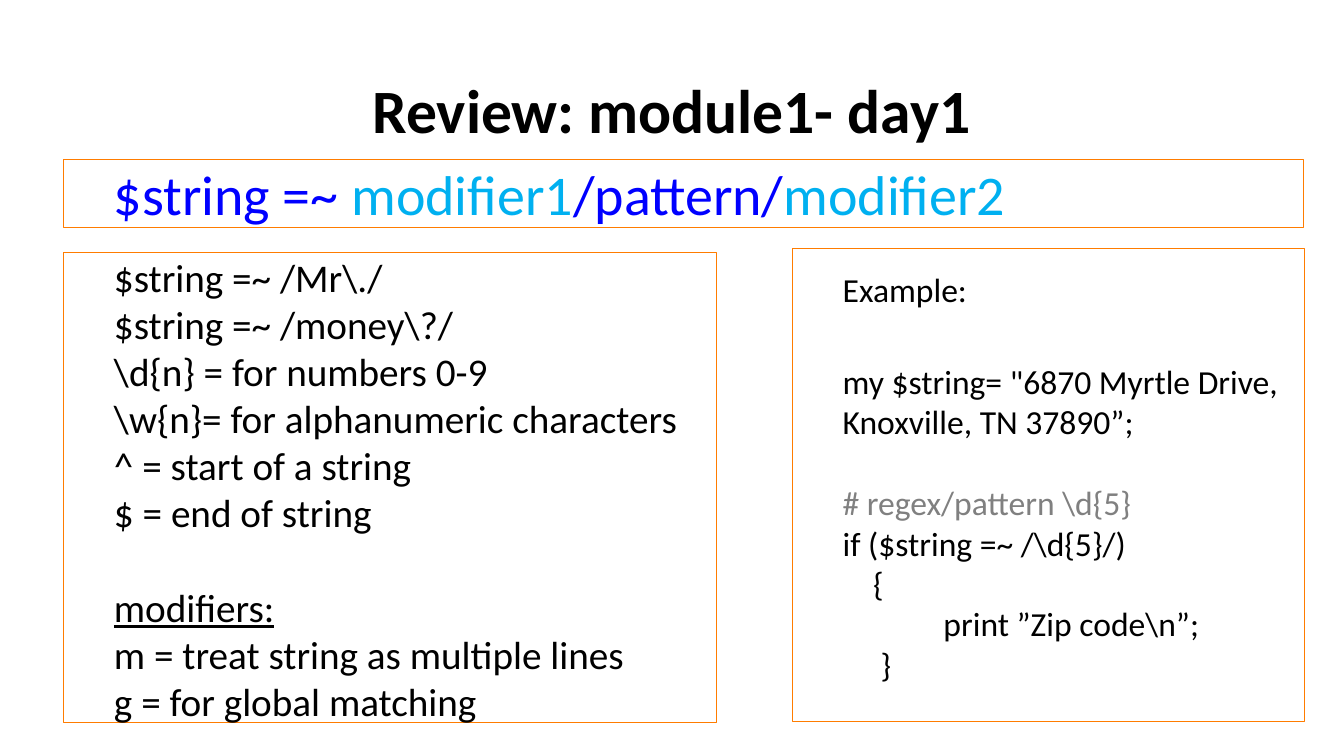
"""Build the regex review slide: a title and three outlined text boxes."""
from dataclasses import dataclass, field

from pptx import Presentation
from pptx.dml.color import RGBColor
from pptx.enum.shapes import MSO_SHAPE as SHAPE
from pptx.enum.text import MSO_ANCHOR as ANCHOR, PP_ALIGN as ALIGN
from pptx.util import Pt

BLACK, BLUE, SKY, GREY, ORANGE = "000000", "0000FF", "00B0F0", "808080", "FF7C00"
MARGIN = 36


@dataclass
class Run:
    text: str
    color: str = BLACK
    font: dict = field(default_factory=dict)


@dataclass
class Para:
    runs: list[Run]
    indent: float = MARGIN
    format: dict = field(default_factory=dict)


@dataclass
class Box:
    left: float
    top: float
    width: float
    height: float
    size: float
    paras: list[Para]


def rgb(color: str) -> RGBColor:
    return RGBColor.from_string(color)


def apply(target, values: dict) -> None:
    for name, value in values.items():
        setattr(target, name, value)


def line(text: str, indent: float = MARGIN, color: str = BLACK,
         font: dict | None = None, **fmt) -> Para:
    return Para([Run(text, color, font or {})], indent, fmt)


def write(tf, paras: list[Para], size: float) -> None:
    for i, para in enumerate(paras):
        p = tf.paragraphs[0] if i == 0 else tf.add_paragraph()
        apply(p, {"alignment": ALIGN.LEFT, **para.format})
        pPr = p._p.get_or_add_pPr()
        pPr.set("marL", str(Pt(para.indent)))
        pPr.set("indent", "0")
        for run in para.runs:
            r = p.add_run()
            r.text = run.text
            apply(r.font, {"name": "Calibri", "size": Pt(size), **run.font})
            r.font.color.rgb = rgb(run.color)


def draw_box(s, box: Box) -> None:
    sp = s.shapes.add_shape(SHAPE.RECTANGLE, Pt(box.left), Pt(box.top),
                            Pt(box.width), Pt(box.height))
    sp.shadow.inherit = False
    sp.fill.background()
    sp.line.color.rgb = rgb(ORANGE)
    sp.line.width = Pt(0.75)
    tf = sp.text_frame
    apply(tf, {"word_wrap": True, "vertical_anchor": ANCHOR.TOP, "margin_left": 0,
               "margin_top": 0, "margin_right": 0, "margin_bottom": 0})
    write(tf, box.paras, box.size)


def draw_title(s, text: str) -> None:
    sp = s.shapes.add_textbox(Pt(66), Pt(28.8), Pt(828), Pt(104.4))
    tf = sp.text_frame
    apply(tf, {"word_wrap": True, "vertical_anchor": ANCHOR.MIDDLE})
    title = line(text, 0, font={"bold": True}, alignment=ALIGN.CENTER, line_spacing=0.9)
    write(tf, [title], 44)


SYNTAX = [Para([Run("$string =~ ", BLUE), Run("modifier1", SKY),
                Run("/pattern/", BLUE), Run("modifier2", SKY)])]
RULES = [
    line(r"$string =~ /Mr\./"),
    line(r"$string =~ /money\?/"),
    line(r"\d{n} = for numbers 0-9"),
    line(r"\w{n}= for alphanumeric characters"),
    line("^ = start of a string"),
    line("$ = end of string"),
    line("modifiers:", font={"underline": True}, space_before=Pt(34.2)),
    line("m = treat string as multiple lines"),
    line("g = for global matching"),
]
EXAMPLE = [
    line("Example:", line_spacing=1.5),
    line('my $string= "6870 Myrtle Drive, Knoxville, TN 37890”;', space_before=Pt(36.6)),
    line(r"# regex/pattern \d{5}", color=GREY, space_before=Pt(29.3)),
    line(r"if ($string =~ /\d{5}/)"),
    line("{", MARGIN + 21.7),
    line(r"print ”Zip code\n”;", MARGIN + 72),
    line("}", MARGIN + 27.1),
]
BOXES = [
    Box(45.4, 113.8, 885.6, 49, 40, SYNTAX),
    Box(45.4, 180.7, 466.6, 335.5, 28, RULES),
    Box(565.9, 177.8, 365.8, 337.7, 24, EXAMPLE),
]


def main() -> None:
    prs = Presentation()
    apply(prs, {"slide_width": Pt(960), "slide_height": Pt(540)})
    s = prs.slides.add_slide(prs.slide_layouts[6])
    draw_title(s, "Review: module1- day1")
    for box in BOXES:
        draw_box(s, box)
    prs.save("out.pptx")


if __name__ == "__main__":
    main()
